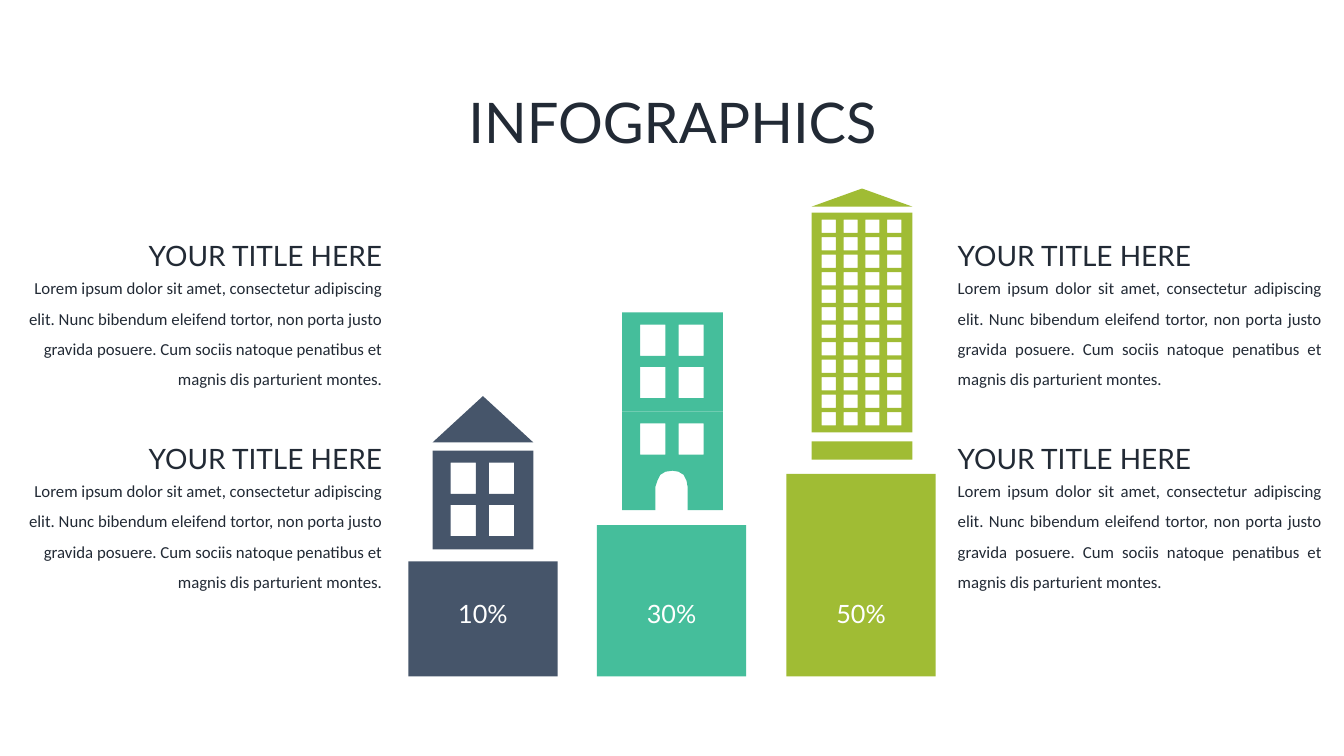
"""Build an infographic slide of three buildings on percentage blocks."""
from pptx import Presentation
from pptx.dml.color import RGBColor
from pptx.enum.shapes import MSO_SHAPE
from pptx.enum.text import MSO_AUTO_SIZE, PP_ALIGN
from pptx.util import Inches, Pt

NAVY = RGBColor(0x46, 0x55, 0x6A)
TEAL = RGBColor(0x45, 0xBE, 0x9B)
LIME = RGBColor(0xA0, 0xBC, 0x34)
INK = RGBColor(0x22, 0x2A, 0x35)
WHITE = RGBColor(0xFF, 0xFF, 0xFF)
LOREM = (
    "Lorem ipsum dolor sit amet, consectetur adipiscing elit. "
    "Nunc bibendum eleifend tortor, non porta justo gravida posuere. "
    "Cum sociis natoque penatibus et magnis dis parturient montes."
)

deck = Presentation()
deck.slide_width, deck.slide_height = Inches(13.33), Inches(7.5)
slide = deck.slides.add_slide(deck.slide_layouts[6])
city = slide.shapes.add_group_shape().shapes


def draw(color, wall, panes=()):
    """Draw a filled outline with rectangular openings (x, y, w, h)."""
    loops = [[(x, y), (x, y + h), (x + w, y + h), (x + w, y)] for x, y, w, h in panes]
    loops.append(wall)
    form = None
    for loop in loops:
        spots = [(Inches(x), Inches(y)) for x, y in loop]
        if form is None:
            form = city.build_freeform(*spots[0])
        else:
            form.move_to(*spots[0])
        form.add_line_segments(spots[1:], close=True)
    shape = form.convert_to_shape()
    shape.shadow.inherit = False
    shape.fill.solid()
    shape.fill.fore_color.rgb = color
    shape.line.fill.background()


def write(text, box, size, color=INK, font="Lato", align=PP_ALIGN.LEFT, space=None):
    """Add a wrapped text box holding one run."""
    frame = slide.shapes.add_textbox(*[Inches(v) for v in box]).text_frame
    frame.word_wrap = True
    frame.auto_size = MSO_AUTO_SIZE.SHAPE_TO_FIT_TEXT
    para = frame.paragraphs[0]
    para.alignment = align
    para.line_spacing = space
    run = para.add_run()
    run.text = text
    run.font.size = Pt(size)
    run.font.name = font
    run.font.color.rgb = color


blocks = [
    (4.05, 5.57, 1.48, 1.14, NAVY),
    (5.92, 5.21, 1.48, 1.5, TEAL),
    (7.8, 4.7, 1.48, 2.01, LIME),
    (8.05, 4.38, 1, 0.18, LIME),
]
for *box, color in blocks:
    block = city.add_shape(MSO_SHAPE.RECTANGLE, *[Inches(v) for v in box])
    block.shadow.inherit = False
    block.fill.solid()
    block.fill.fore_color.rgb = color
    block.line.fill.background()

for left, top, high, color in [(4.29, 3.93, 0.46, NAVY), (8.05, 1.87, 0.18, LIME)]:
    draw(color, [(left + 0.5, top), (left + 1, top + high), (left, top + high)])

door = [
    (6.82, 5.06), (6.82, 4.83), (6.81, 4.77), (6.78, 4.71), (6.73, 4.68), (6.67, 4.67),
    (6.6, 4.68), (6.55, 4.71), (6.52, 4.77), (6.5, 4.83), (6.5, 5.06),
]
walls = [
    (4.29, 4.47, 0.98, NAVY, 0.18, 0.12, 2, 2, 0.38, 0.42, 0.25, 0.31, []),
    (6.17, 3.1, 0.98, TEAL, 0.18, 0.12, 2, 2, 0.38, 0.42, 0.25, 0.31, []),
    (6.17, 4.08, 0.98, TEAL, 0.18, 0.12, 2, 1, 0.38, 0.42, 0.25, 0.31, door),
    (8.05, 2.11, 2.18, LIME, 0.1, 0.07, 4, 12, 0.65 / 3, 1.91 / 11, 0.14, 0.13, []),
]
for left, top, high, color, padx, pady, cols, rows, dx, dy, wide, tall, gap in walls:
    panes = [
        (left + padx + col * dx, top + pady + row * dy, wide, tall)
        for row in range(rows)
        for col in range(cols)
    ]
    base = top + high
    wall = [(left, top), (left + 1, top), (left + 1, base), *gap, (left, base)]
    draw(color, wall, panes)

for left, share in [(4.05, "10%"), (5.92, "30%"), (7.8, "50%")]:
    write(share, (left, 5.89, 1.48, 0.4), 18, WHITE, align=PP_ALIGN.CENTER)

write("INFOGRAPHICS", (4.08, 0.82, 5.18, 0.77), 40, align=PP_ALIGN.CENTER)

sides = [
    (9.4, PP_ALIGN.LEFT, PP_ALIGN.JUSTIFY),
    (0.08, PP_ALIGN.RIGHT, PP_ALIGN.RIGHT),
]
for left, head, body in sides:
    for top in (2.32, 4.33):
        write(LOREM, (left, top + 0.29, 3.81, 1.31), 12, font="Calibri", align=body, space=1.5)
        write("YOUR TITLE HERE", (left, top, 3.81, 0.44), 20, align=head)

deck.save("out.pptx")
